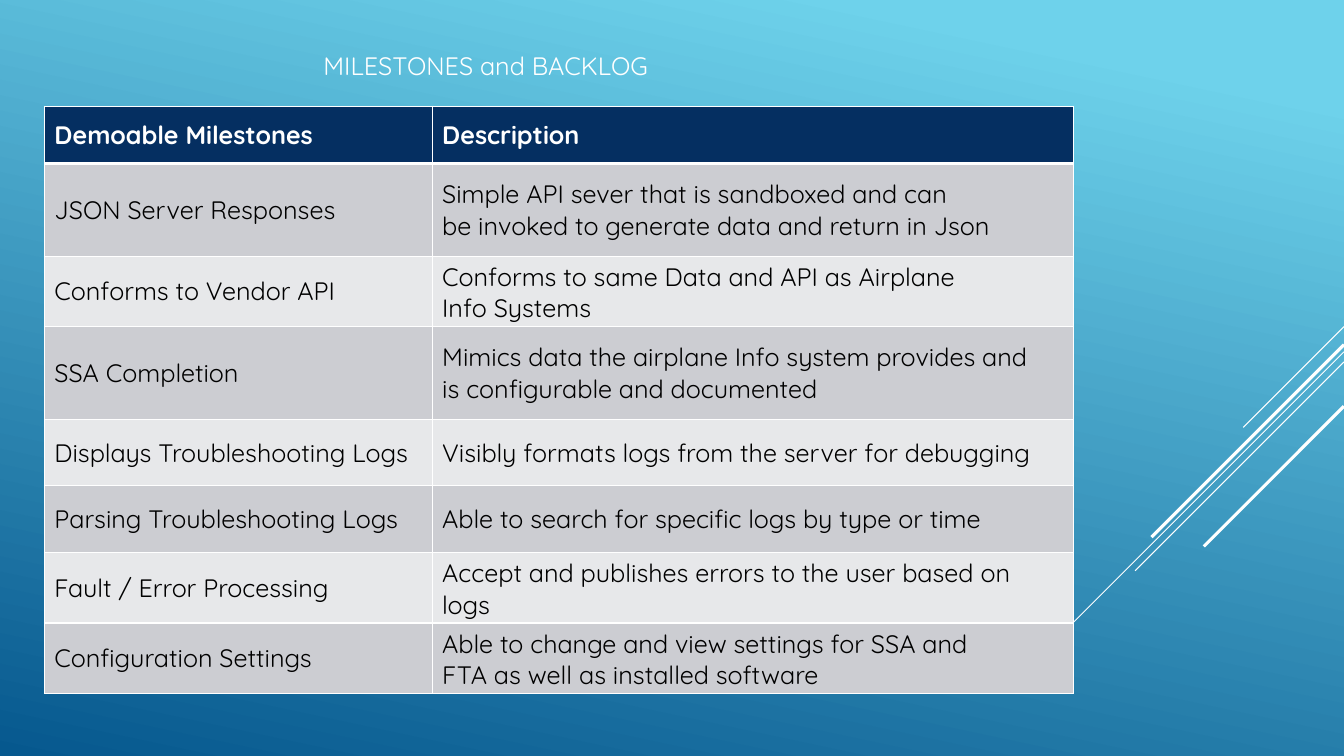
"""Build the milestones and backlog slide: a two-column table on a blue gradient."""
from pptx import Presentation
from pptx.dml.color import RGBColor
from pptx.enum.shapes import MSO_CONNECTOR
from pptx.enum.text import MSO_ANCHOR
from pptx.oxml import parse_xml
from pptx.oxml.ns import nsdecls, qn
from pptx.util import Pt

STRAIGHT = MSO_CONNECTOR.STRAIGHT
MIDDLE = MSO_ANCHOR.MIDDLE
FONT = "Quicksand"
WHITE, BLACK, NAVY = "FFFFFF", "000000", "052F61"
BANDS = ["CCCDD2", "E7E8EA"]
GRADIENT = [(0.1, "6ED2EB"), (1, "06588E")]
GRADIENT_ANGLE = 258
NO_BREAK_MARK, NO_BREAK_SPACE = "~", chr(160)

WIDTH, HEIGHT = 960, 540
TITLE = "MILESTONES and BACKLOG"
TITLE_AREA = (223.9, 32.4, 426.2, 29)
TABLE_LEFT, TABLE_TOP = 31.7, 75.8
COLUMN_WIDTHS = [277, 458.4]
ROW_HEIGHTS = [41, 66.2, 47.5, 66.2, 47.5, 47.5, 47.5, 47.5]
ROWS = [
    ("Demoable~Milestones", "Description"),
    ("JSON Server Responses",
     "Simple API sever that is~sandboxed~and can be~invoked to generate data and return~in Json"),
    ("Conforms to Vendor API",
     "Conforms to same Data and API as Airplane Info~Systems"),
    ("SSA Completion",
     "Mimics data the airplane Info system provides and is~configurable and documented"),
    ("Displays Troubleshooting Logs",
     "Visibly formats logs from the~server for debugging"),
    ("Parsing Troubleshooting Logs",
     "Able to search for specific logs by type or time"),
    ("Fault / Error Processing",
     "Accept and publishes errors~to the user based on logs"),
    ("Configuration Settings",
     "Able to change and view settings for SSA and FTA~as~well as installed software"),
]
DIAGONAL_TOPS_REACHES_WEIGHTS = [
    (233.3, 72, 0.75),
    (251.3, 234.7, 0.75),
    (258.5, 149.2, 0.75),
    (246.2, 137.5, 2.25),
    (290.2, 100.1, 2.25),
]


def color(hex_code):
    return RGBColor.from_string(hex_code)


def write(frame, text, size=18, ink=WHITE, bold=False):
    span = frame.paragraphs[0].add_run()
    span.text = text.replace(NO_BREAK_MARK, NO_BREAK_SPACE)
    span.font.name = FONT
    span.font.size = Pt(size)
    span.font.bold = bold
    span.font.color.rgb = color(ink)


def add_border(cell, side, weight):
    properties = cell._tc.get_or_add_tcPr()
    border = parse_xml(
        f'<a:{side} {nsdecls("a")} w="{Pt(weight)}"><a:solidFill>'
        f'<a:srgbClr val="{WHITE}"/></a:solidFill></a:{side}>')
    properties.insert(len(properties.findall(qn("a:*"))), border)


def paint_background(page):
    fill = page.background.fill
    fill.gradient()
    fill.gradient_angle = GRADIENT_ANGLE
    for stop, (position, hex_code) in zip(fill.gradient_stops, GRADIENT):
        stop.position = position
        stop.color.rgb = color(hex_code)


def add_diagonal(page, top, reach, weight):
    line = page.shapes.add_connector(
        STRAIGHT, Pt(WIDTH), Pt(top), Pt(WIDTH - reach), Pt(top + reach))
    line.line.color.rgb = color(WHITE)
    line.line.width = Pt(weight)
    line._element.spPr.append(parse_xml(f'<a:effectLst {nsdecls("a")}/>'))


def add_title(page):
    box = page.shapes.add_textbox(*map(Pt, TITLE_AREA))
    box.text_frame.word_wrap = True
    write(box.text_frame, TITLE)


def add_milestones(page):
    table = page.shapes.add_table(
        len(ROWS), len(COLUMN_WIDTHS), Pt(TABLE_LEFT), Pt(TABLE_TOP),
        Pt(sum(COLUMN_WIDTHS)), Pt(sum(ROW_HEIGHTS))).table
    for column, width in zip(table.columns, COLUMN_WIDTHS):
        column.width = Pt(width)
    for index, (row, height, texts) in enumerate(zip(table.rows, ROW_HEIGHTS, ROWS)):
        row.height = Pt(height)
        header = index == 0
        for cell, text in zip(row.cells, texts):
            cell.vertical_anchor = MIDDLE
            for side in ("lnL", "lnR", "lnT", "lnB"):
                thick = (header and side == "lnB") or (index == 1 and side == "lnT")
                add_border(cell, side, 3 if thick else 1)
            cell.fill.solid()
            cell.fill.fore_color.rgb = color(NAVY if header else BANDS[(index - 1) % 2])
            write(cell.text_frame, text, ink=WHITE if header else BLACK, bold=header)


def main():
    deck = Presentation()
    deck.slide_width, deck.slide_height = Pt(WIDTH), Pt(HEIGHT)
    page = deck.slides.add_slide(deck.slide_layouts[6])
    paint_background(page)
    for diagonal in DIAGONAL_TOPS_REACHES_WEIGHTS:
        add_diagonal(page, *diagonal)
    add_title(page)
    add_milestones(page)
    deck.save("out.pptx")


if __name__ == "__main__":
    main()
